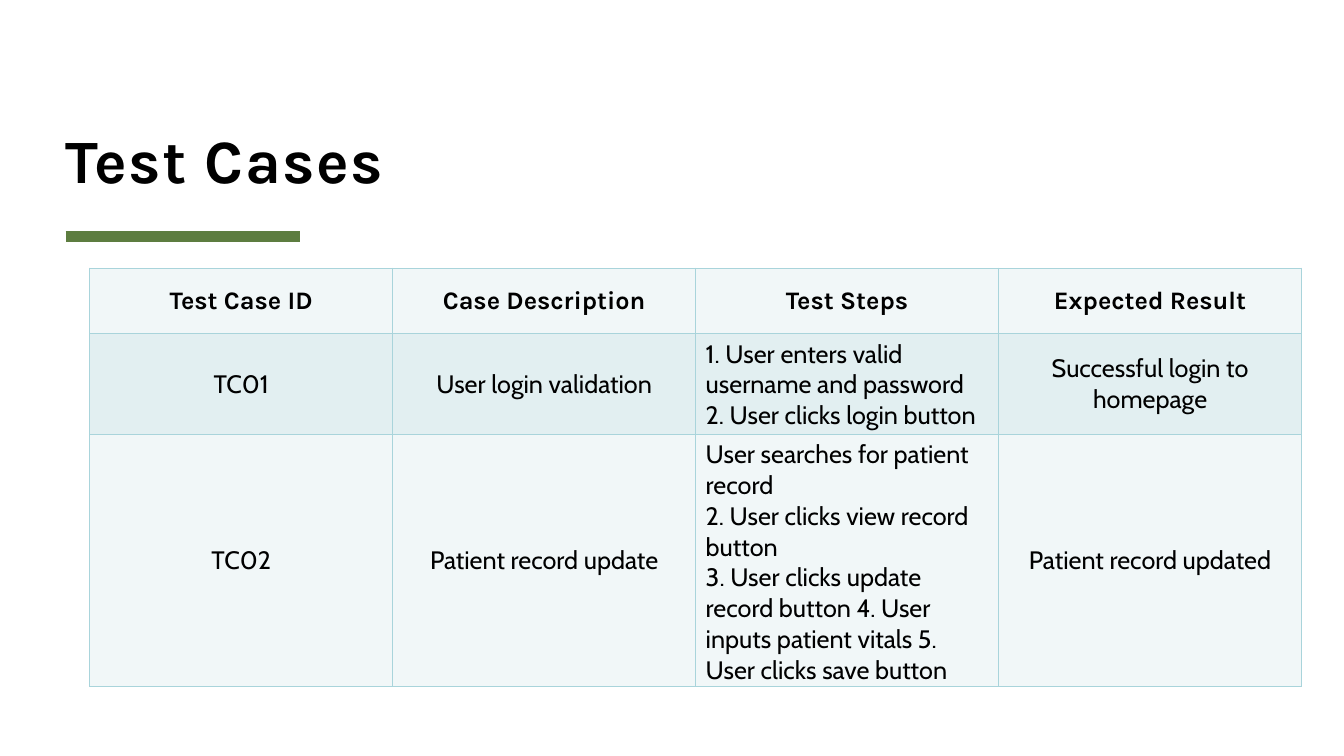
from dataclasses import dataclass

from lxml import etree
from pptx import Presentation
from pptx import util as u
from pptx.dml.color import RGBColor
from pptx.enum import shapes, text
from pptx.oxml.ns import qn


@dataclass(frozen=True)
class Theme:
    heading_font: str = "Karla"
    body_font: str = "Cabin"
    title_size: int = 44
    table_size: int = 18
    rule_width: int = 8
    border_width: int = 1
    ink: str = "000000"
    rule: str = "5D7D40"
    border: str = "A9D4DB"
    light_row: str = "F1F7F8"
    dark_row: str = "E2EFF1"


@dataclass(frozen=True)
class TestCase:
    case_id: str
    description: str
    steps: str
    expected: str


THEME = Theme()
CENTER, LEFT = text.PP_ALIGN.CENTER, text.PP_ALIGN.LEFT
HEADINGS = TestCase("Test Case ID", "Case Description", "Test Steps", "Expected Result")
CASES = [
    TestCase(
        "TC01",
        "User login validation",
        "1. User enters valid username and password\n2. User clicks login button",
        "Successful login to homepage",
    ),
    TestCase(
        "TC02",
        "Patient record update",
        "User searches for patient record\n2. User clicks view record button\n"
        "3. User clicks update record button 4. User inputs patient vitals "
        "5. User clicks save button",
        "Patient record updated",
    ),
]


def apply(target, formats: dict) -> None:
    for attribute, value in formats.items():
        setattr(target, attribute, value)


def write(frame, wording: str, size: int, family: str, bold: bool, align) -> None:
    """Fill a text frame, one paragraph per line of wording."""
    frame.text = wording
    for paragraph in frame.paragraphs:
        paragraph.alignment = align
        for run in paragraph.runs:
            apply(run.font, {"size": u.Pt(size), "name": family, "bold": bold})
            run.font.color.rgb = RGBColor.from_string(THEME.ink)


def add_title(slide, wording: str) -> None:
    title = slide.shapes.add_textbox(u.Inches(0.65), u.Inches(0.64), u.Inches(12), u.Inches(1.3))
    frame = title.text_frame
    apply(frame, {
        "word_wrap": True, "vertical_anchor": text.MSO_ANCHOR.BOTTOM,
        "margin_left": 0, "margin_right": 0, "margin_top": 0, "margin_bottom": 0,
    })
    write(frame, wording, THEME.title_size, THEME.heading_font, True, LEFT)
    paragraph = frame.paragraphs[0]
    paragraph.line_spacing = 0.8
    paragraph.runs[0].font._element.set("spc", "100")


def add_rule(slide) -> None:
    y = u.Inches(2.35)
    rule = slide.shapes.add_connector(
        shapes.MSO_CONNECTOR.STRAIGHT, u.Inches(0.65), y, u.Inches(2.98), y)
    rule.line.color.rgb = RGBColor.from_string(THEME.rule)
    rule.line.width = u.Pt(THEME.rule_width)
    etree.SubElement(rule._element.spPr, qn("a:effectLst"))


def add_borders(cell) -> None:
    """Outline a cell; borders come before the fill in its properties."""
    properties = cell._tc.get_or_add_tcPr()
    for position, side in enumerate(("lnL", "lnR", "lnT", "lnB")):
        border = etree.Element(qn(f"a:{side}"), w=str(u.Pt(THEME.border_width)))
        fill = etree.SubElement(border, qn("a:solidFill"))
        etree.SubElement(fill, qn("a:srgbClr"), val=THEME.border)
        properties.insert(position, border)


def add_case_table(slide, cases: list[TestCase]) -> None:
    rows = [HEADINGS, *cases]
    holder = slide.shapes.add_table(
        len(rows), 4, u.Inches(0.89), u.Inches(2.66), u.Inches(12.02), u.Inches(4.15))
    table = holder.table
    for row in table.rows:
        row.height = u.Inches(0.65)  # rows grow to fit their text
    holder.height = u.Inches(4.15)

    for r, case in enumerate(rows):
        header = r == 0
        family = THEME.heading_font if header else THEME.body_font
        shade = THEME.dark_row if r % 2 else THEME.light_row
        entries = (case.case_id, case.description, case.steps, case.expected)
        for c, entry in enumerate(entries):
            cell = table.cell(r, c)
            align = LEFT if entry == case.steps and not header else CENTER
            cell.vertical_anchor = text.MSO_ANCHOR.MIDDLE
            cell.fill.solid()
            cell.fill.fore_color.rgb = RGBColor.from_string(shade)
            write(cell.text_frame, entry, THEME.table_size, family, header, align)
            add_borders(cell)


def main() -> None:
    deck = Presentation()
    apply(deck, {"slide_width": u.Inches(13.33), "slide_height": u.Inches(7.5)})
    slide = deck.slides.add_slide(deck.slide_layouts[6])

    # Heading with its green rule
    add_rule(slide)
    add_title(slide, "Test Cases")

    # Test case table
    add_case_table(slide, CASES)
    deck.save("out.pptx")


if __name__ == "__main__":
    main()
